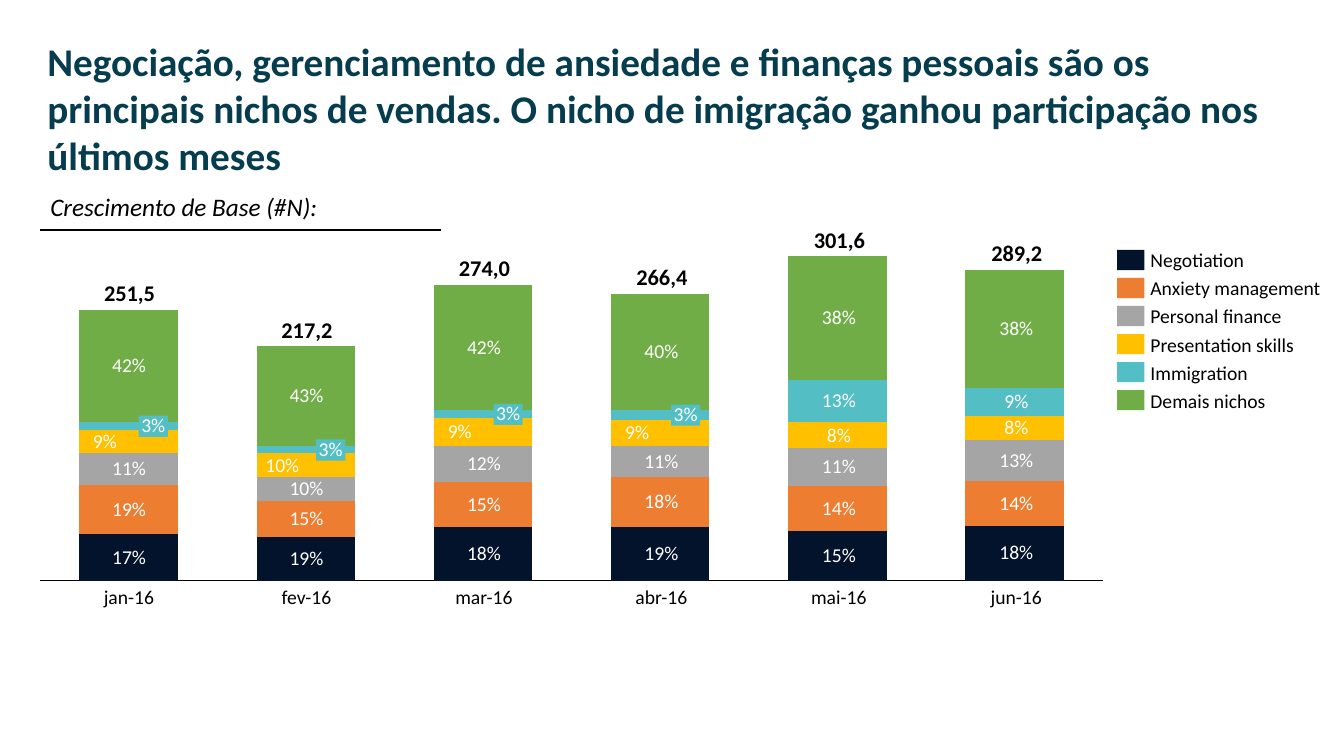
from lxml import etree
from pptx import Presentation
from pptx import util as u
from pptx.chart.data import CategoryChartData
from pptx.dml.color import RGBColor
from pptx.enum import chart as ch, shapes, text
from pptx.oxml.ns import qn

Inches, Pt = u.Inches, u.Pt
LEFT, CENTER = text.PP_ALIGN.LEFT, text.PP_ALIGN.CENTER
TOP, MIDDLE, BOTTOM = text.MSO_ANCHOR.TOP, text.MSO_ANCHOR.MIDDLE, text.MSO_ANCHOR.BOTTOM


def color(hex_value):
    return RGBColor.from_string(hex_value)


def label(left, top, width, height, words, hue="000000", size=14, bold=False,
          align=CENTER, anchor=MIDDLE, fill=None):
    place = [Inches(v) for v in (left, top, width, height)]
    if fill:
        box = slide.shapes.add_shape(shapes.MSO_SHAPE.RECTANGLE, *place)
        box.shadow.inherit = False
        box.fill.solid()
        box.fill.fore_color.rgb = color(fill)
        box.line.fill.background()
    else:
        box = slide.shapes.add_textbox(*place)
    frame = box.text_frame
    settings = {"word_wrap": False, "vertical_anchor": anchor, "margin_left": 0,
                "margin_right": 0, "margin_top": 0, "margin_bottom": 0}
    for key, value in settings.items():
        setattr(frame, key, value)
    paragraph = frame.paragraphs[0]
    paragraph.alignment = align
    paragraph.line_spacing = 0.9
    if words:
        run = paragraph.add_run()
        run.text = words
        for key, value in {"name": "Calibri", "size": Pt(size), "bold": bold}.items():
            setattr(run.font, key, value)
        run.font.color.rgb = color(hue)


prs = Presentation()
prs.slide_width, prs.slide_height = Inches(13.33), Inches(7.5)
slide = prs.slides.add_slide(prs.slide_layouts[5])

headline = slide.shapes.title
subtitle = slide.shapes.add_textbox(Inches(0.4), Inches(1.85), Inches(4.05), Inches(0.4))
for key, value in {"left": 0.37, "top": 0.32, "width": 12.6, "height": 1.51}.items():
    setattr(headline, key, Inches(value))
headline.text_frame.text = (
    "Negociação, gerenciamento de ansiedade e finanças pessoais são os principais "
    "nichos de vendas. O nicho de imigração ganhou participação nos últimos meses")
subtitle.text_frame.text = "Crescimento de Base (#N):"
for heading, size, hue, bold, italic in [(headline, 28, "053D4E", True, False),
                                         (subtitle, 18, "000000", False, True)]:
    frame = heading.text_frame
    frame.word_wrap = True
    frame.auto_size = text.MSO_AUTO_SIZE.SHAPE_TO_FIT_TEXT
    frame.vertical_anchor = TOP
    frame.paragraphs[0].alignment = LEFT
    font = frame.paragraphs[0].runs[0].font
    for key, value in {"name": "Calibri", "size": Pt(size), "bold": bold, "italic": italic}.items():
        setattr(font, key, value)
    font.color.rgb = color(hue)

subtitle_rule = slide.shapes.add_connector(
    shapes.MSO_CONNECTOR.STRAIGHT, Inches(0.4), Inches(2.28), Inches(4.37), Inches(2.28))
subtitle_rule.line.color.rgb = color("000000")
subtitle_rule.line.width = Pt(1.5)
etree.SubElement(subtitle_rule._element.spPr, qn("a:effectLst"))

niches = [
    ("Negotiation", 0.93, "03132C", [37, 35, 43, 43, 40, 44], [17, 19, 18, 19, 15, 18]),
    ("Anxiety management", 1.69, "ED7D31", [40, 29, 36, 40, 36, 36], [19, 15, 15, 18, 14, 14]),
    ("Personal finance", 1.3, "A5A5A5", [25, 19, 29, 25, 30, 33], [11, 10, 12, 11, 11, 13]),
    ("Presentation skills", 1.43, "FFC000", [19, 19, 22, 21, 21, 19], [9, 10, 9, 9, 8, 8]),
    ("Immigration", 0.97, "53BFC4", [6, 6, 7, 8, 34, 22], [3, 3, 3, 3, 13, 9]),
    ("Demais nichos", 1.14, "70AD47", [90, 80, 100, 93, 100, 95], [42, 43, 42, 40, 38, 38]),
]
months = [("jan-16", "251,5"), ("fev-16", "217,2"), ("mar-16", "274,0"),
          ("abr-16", "266,4"), ("mai-16", "301,6"), ("jun-16", "289,2")]

sales = CategoryChartData()
sales.categories = [month for month, total in months]
for niche, width, hue, values, shares in niches:
    sales.add_series(niche, values)
chart = slide.shapes.add_chart(
    ch.XL_CHART_TYPE.COLUMN_STACKED, Inches(0.31), Inches(2.45), Inches(10.73), Inches(3.4), sales).chart
chart.has_legend = False
chart.has_title = False
chart.font.name = "Calibri"
chart.font.size = Pt(10)
chart.font.color.rgb = color("000000")
columns = chart.plots[0]
for key, value in {"gap_width": 80, "overlap": 100, "vary_by_categories": False}.items():
    setattr(columns, key, value)
for series, niche in zip(columns.series, niches):
    series.format.fill.solid()
    series.format.fill.fore_color.rgb = color(niche[2])
month_axis, sales_axis = chart.category_axis, chart.value_axis
month_axis.tick_label_position = ch.XL_TICK_LABEL_POSITION.NONE
month_axis.major_tick_mark = ch.XL_TICK_MARK.NONE
month_axis.format.line.color.rgb = color("000000")
month_axis.format.line.width = Pt(0.75)
for key, value in {"minimum_scale": 0, "maximum_scale": 260,
                   "has_major_gridlines": False, "visible": False}.items():
    setattr(sales_axis, key, value)

plot_area = chart._chartSpace.chart.plotArea
for old_layout in plot_area.findall(qn("c:layout")):
    plot_area.remove(old_layout)
layout = etree.Element(qn("c:layout"))
plot_area.insert(0, layout)
manual = etree.SubElement(layout, qn("c:manualLayout"))
for tag, value in [("layoutTarget", "inner"), ("xMode", "edge"), ("yMode", "edge"),
                   ("x", "0.008"), ("y", "0.027"), ("w", "0.983"), ("h", "0.947")]:
    etree.SubElement(manual, qn("c:" + tag)).set("val", value)

baseline, plot_height, axis_max = 5.76, 3.22, 260
for column, (month, total) in enumerate(months):
    center = 1.28 + 1.76 * column
    crowded = niches[4][4][column] == 3
    stacked = 0
    for niche, width, hue, values, shares in niches:
        middle = baseline - (stacked + values[column] / 2) * plot_height / axis_max
        stacked += values[column]
        shift = {"Immigration": 0.24, "Presentation skills": -0.24}.get(niche, 0) if crowded else 0
        share_width = 0.29 if shares[column] < 10 else 0.39
        label(center + shift - share_width / 2, middle - 0.1, share_width, 0.21,
              f"{shares[column]}%", "FFFFFF", fill=hue if shift > 0 else None)
    column_top = baseline - min(stacked, axis_max) * plot_height / axis_max
    label(center - 0.28, column_top - 0.27, 0.57, 0.24, total, size=16, bold=True, anchor=BOTTOM)
    label(center - 0.3, 5.83, 0.6, 0.21, month, anchor=TOP)

for row, (niche, width, hue, values, shares) in enumerate(niches):
    top = 2.48 + 1.39 * row / 5
    label(11.08, top, 0.27, 0.2, "", fill=hue)
    label(11.41, top + 0.01, width + 0.05, 0.21, niche, align=LEFT)

prs.save("out.pptx")
